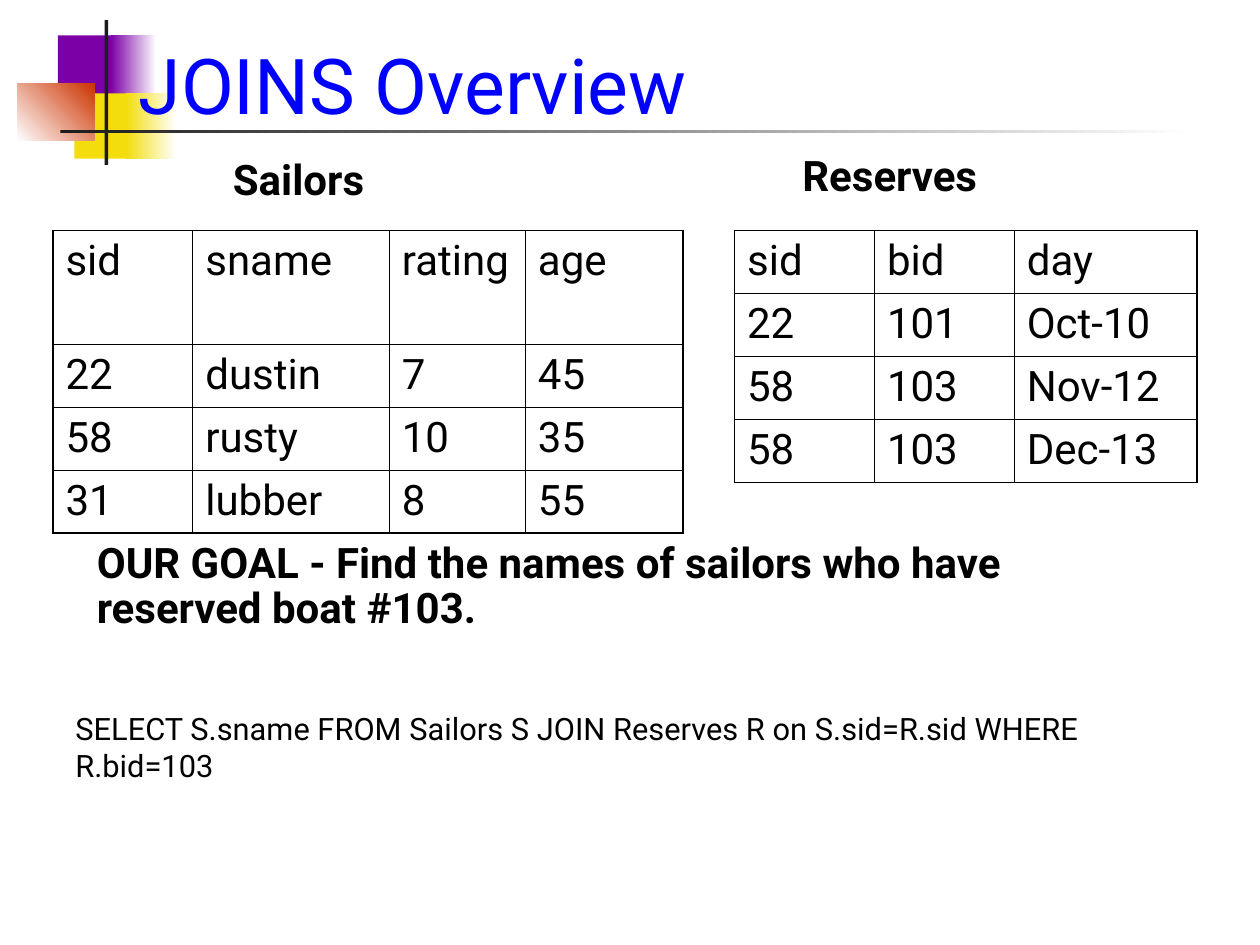
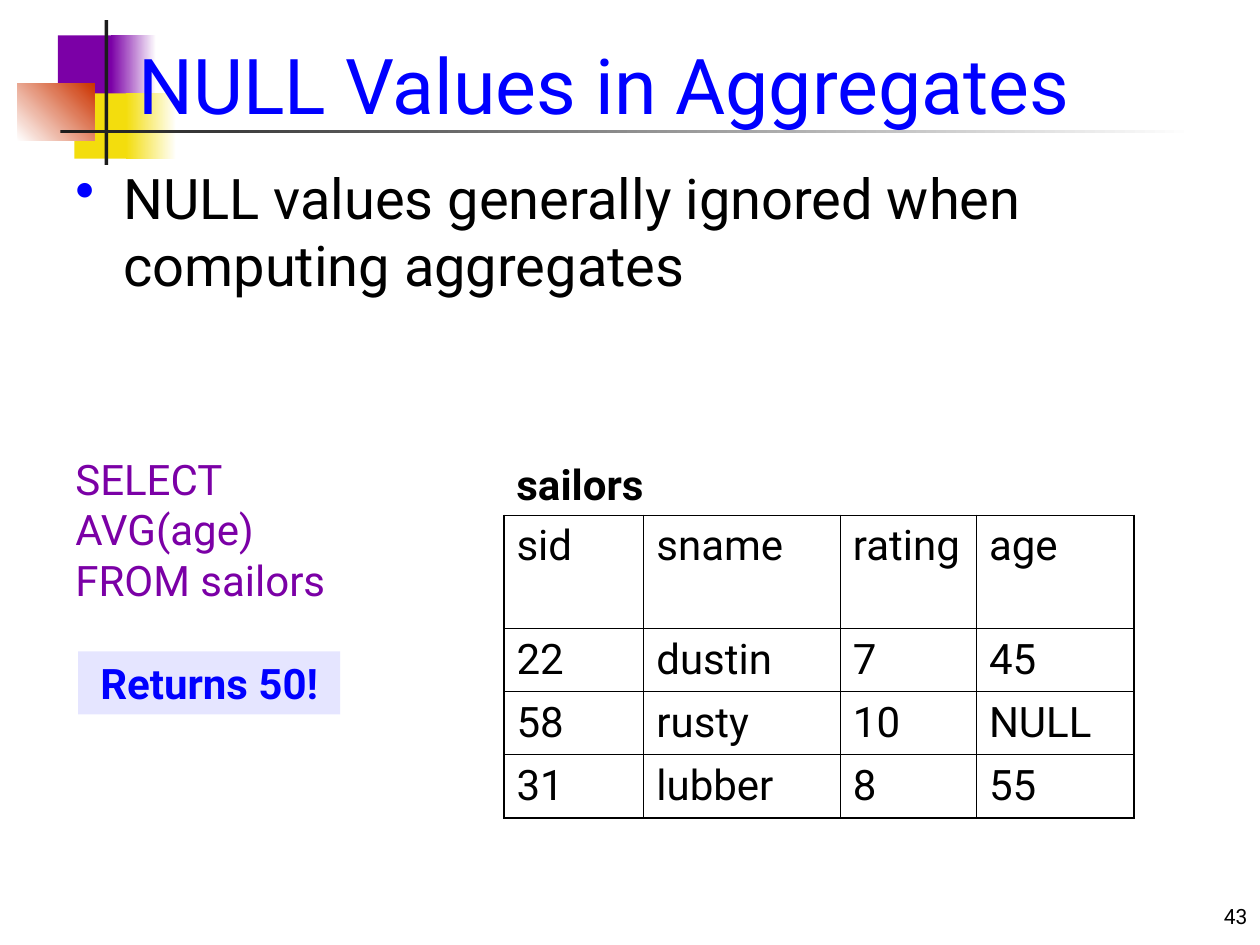
"""Build two slides on SQL joins and on NULL values in aggregates."""
from lxml import etree
from pptx import Presentation
from pptx.dml.color import RGBColor
from pptx.enum.shapes import MSO_SHAPE
from pptx.enum.text import MSO_ANCHOR, MSO_AUTO_SIZE, PP_ALIGN
from pptx.oxml.ns import qn
from pptx.util import Inches, Pt

RECTANGLE = MSO_SHAPE.RECTANGLE
LEFT, CENTER, RIGHT = PP_ALIGN.LEFT, PP_ALIGN.CENTER, PP_ALIGN.RIGHT
TOP, MIDDLE, BOTTOM = MSO_ANCHOR.TOP, MSO_ANCHOR.MIDDLE, MSO_ANCHOR.BOTTOM
NO_AUTOSIZE = MSO_AUTO_SIZE.NONE

FONT = "Roboto"
BLACK, WHITE, BLUE, PURPLE = "000000", "FFFFFF", "0000FF", "7B00A6"
YELLOW, RED, CHARCOAL, LAVENDER = "F3DD0D", "CC3300", "1C1C1C", "CCCCFF"
OUTER_LINE, INNER_LINE = Pt(1.08), Pt(0.45)
SAILOR_COLUMNS = (1.11, 1.56, 1.08, 1.25)
SAILOR_ROWS = (0.9, 0.5, 0.5, 0.5)


def set_text(frame, text, size, color=BLACK, bold=False, align=LEFT, anchor=TOP):
    """Fill a text frame and format all of its paragraphs."""
    frame.text = text
    frame.word_wrap = True
    frame.auto_size = NO_AUTOSIZE
    frame.vertical_anchor = anchor
    for paragraph in frame.paragraphs:
        paragraph.alignment = align
        for run in paragraph.runs:
            run.font.name = FONT
            run.font.size = Pt(size)
            run.font.bold = bold
            run.font.color.rgb = RGBColor.from_string(color)


def add_grid(slide, left, top, widths, heights, records):
    """Add an unfilled table with thin inner lines and a thicker frame."""
    frame = slide.shapes.add_table(
        len(heights), len(widths), Inches(left), Inches(top),
        Inches(sum(widths)), Inches(sum(heights)))
    table = frame.table
    table.first_row = table.horz_banding = False
    for column, width in zip(table.columns, widths):
        column.width = Inches(width)
    for row, height in zip(table.rows, heights):
        row.height = Inches(height)
    for row_index, record in enumerate(records):
        for column_index, value in enumerate(record):
            cell = table.cell(row_index, column_index)
            set_text(cell.text_frame, value, 24)
            properties = cell._tc.get_or_add_tcPr()
            outer_sides = {
                "a:lnL": column_index == 0,
                "a:lnR": column_index == len(widths) - 1,
                "a:lnT": row_index == 0,
                "a:lnB": row_index == len(heights) - 1,
            }
            for side, is_outer in outer_sides.items():
                line_width = OUTER_LINE if is_outer else INNER_LINE
                border = etree.SubElement(properties, qn(side), w=str(int(line_width)))
                fill = etree.SubElement(border, qn("a:solidFill"))
                etree.SubElement(fill, qn("a:srgbClr"), val=BLACK)
            cell.fill.background()


presentation = Presentation()
presentation.slide_width = Inches(10)
presentation.slide_height = Inches(7.5)
layout = presentation.slide_layouts[5]
joins_slide = presentation.slides.add_slide(layout)
nulls_slide = presentation.slides.add_slide(layout)

# Each ornament: left, top, width, height, start colour, end colour, angle
ornaments = [
    (0.46, 0.28, 0.48, 0.52, PURPLE, PURPLE, 0),
    (0.88, 0.28, 0.36, 0.52, PURPLE, WHITE, 0),
    (0.59, 0.74, 0.46, 0.52, YELLOW, YELLOW, 0),
    (1, 0.74, 0.4, 0.52, YELLOW, WHITE, 0),
    (0.14, 0.66, 0.61, 0.46, WHITE, RED, 45),
    (0.83, 0.16, 0.03, 1.15, CHARCOAL, CHARCOAL, 0),
    (0.48, 1.03, 9, 0.03, CHARCOAL, WHITE, 0),
]
for position, (left, top, width, height, start, end, angle) in enumerate(ornaments, 2):
    ornament = joins_slide.shapes.add_shape(
        RECTANGLE, Inches(left), Inches(top), Inches(width), Inches(height))
    ornament.shadow.inherit = False
    ornament.line.fill.background()
    if start == end:
        ornament.fill.solid()
        ornament.fill.fore_color.rgb = RGBColor.from_string(start)
    else:
        ornament.fill.gradient()
        ornament.fill.gradient_angle = angle
        for stop, color in zip(ornament.fill.gradient_stops, (start, end)):
            stop.color.rgb = RGBColor.from_string(color)
    layout.shapes.element.insert(position, ornament.element)

titles = [(joins_slide, "JOINS Overview"), (nulls_slide, "NULL Values in Aggregates")]
for slide, text in titles:
    title = slide.shapes.title
    title.left, title.top = Inches(1), Inches(-0.17)
    title.width, title.height = Inches(8.83), Inches(1.25)
    set_text(title.text_frame, text, 44, BLUE, anchor=BOTTOM)

sailors = [
    ("sid", "sname", "rating", "age"),
    ("22", "dustin", "7", "45"),
    ("58", "rusty", "10", "35"),
    ("31", "lubber", "8", "55"),
]
reserves = [
    ("sid", "bid", "day"),
    ("22", "101", "Oct-10"),
    ("58", "103", "Nov-12"),
    ("58", "103", "Dec-13"),
]
sailors_with_null = [
    record[:3] + ("NULL",) if record[1] == "rusty" else record for record in sailors
]
add_grid(joins_slide, 0.42, 1.83, SAILOR_COLUMNS, SAILOR_ROWS, sailors)
add_grid(joins_slide, 5.83, 1.83, (1.11, 1.11, 1.45), (0.5,) * 4, reserves)
add_grid(nulls_slide, 4, 4.09, SAILOR_COLUMNS, SAILOR_ROWS, sailors_with_null)

table_names = [
    (joins_slide, "Sailors", 1.75, 1.17),
    (joins_slide, "Reserves", 6.27, 1.14),
    (nulls_slide, "sailors", 4, 3.59),
]
for slide, name, left, top in table_names:
    label = slide.shapes.add_textbox(Inches(left), Inches(top), Inches(1.92), Inches(0.5))
    set_text(label.text_frame, name, 24, bold=True)

query = joins_slide.shapes.add_textbox(Inches(0.5), Inches(5.58), Inches(9.17), Inches(0.75))
set_text(
    query.text_frame,
    "SELECT S.sname FROM Sailors S JOIN Reserves R on S.sid=R.sid WHERE R.bid=103", 17.6)

goal = joins_slide.shapes.add_textbox(Inches(0.67), Inches(4.25), Inches(8.17), Inches(0.82))
set_text(
    goal.text_frame,
    "OUR GOAL - Find the names of sailors who have reserved boat #103.", 24, bold=True)
goal.text_frame.paragraphs[0].line_spacing = 0.9

rule = nulls_slide.shapes.add_textbox(Inches(0.5), Inches(1.25), Inches(9.17), Inches(1.75))
set_text(rule.text_frame, "NULL values generally ignored when computing aggregates", 32)
bullet_properties = rule.text_frame.paragraphs[0]._p.get_or_add_pPr()
bullet_properties.set("marL", str(Inches(0.38)))
bullet_properties.set("indent", str(Inches(-0.38)))
bullet_color = etree.SubElement(bullet_properties, qn("a:buClr"))
etree.SubElement(bullet_color, qn("a:srgbClr"), val=BLUE)
etree.SubElement(bullet_properties, qn("a:buChar"), char="•")

average_query = nulls_slide.shapes.add_textbox(
    Inches(0.5), Inches(3.75), Inches(2.8), Inches(0.9))
set_text(average_query.text_frame, "SELECT AVG(age)\nFROM sailors", 24, PURPLE, anchor=MIDDLE)

result = nulls_slide.shapes.add_shape(
    RECTANGLE, Inches(0.62), Inches(5.17), Inches(2.08), Inches(0.5))
result.shadow.inherit = False
result.line.fill.background()
result.fill.solid()
result.fill.fore_color.rgb = RGBColor.from_string(LAVENDER)
result_color = result.element.spPr.find(f"{qn('a:solidFill')}/{qn('a:srgbClr')}")
etree.SubElement(result_color, qn("a:alpha"), val="50000")
set_text(result.text_frame, "Returns 50!", 24, BLUE, True, CENTER, MIDDLE)

page_number = nulls_slide.shapes.add_textbox(
    Inches(7.92), Inches(6.92), Inches(2.08), Inches(0.5))
set_text(page_number.text_frame, "43", 12, align=RIGHT, anchor=BOTTOM)

presentation.save("out.pptx")
